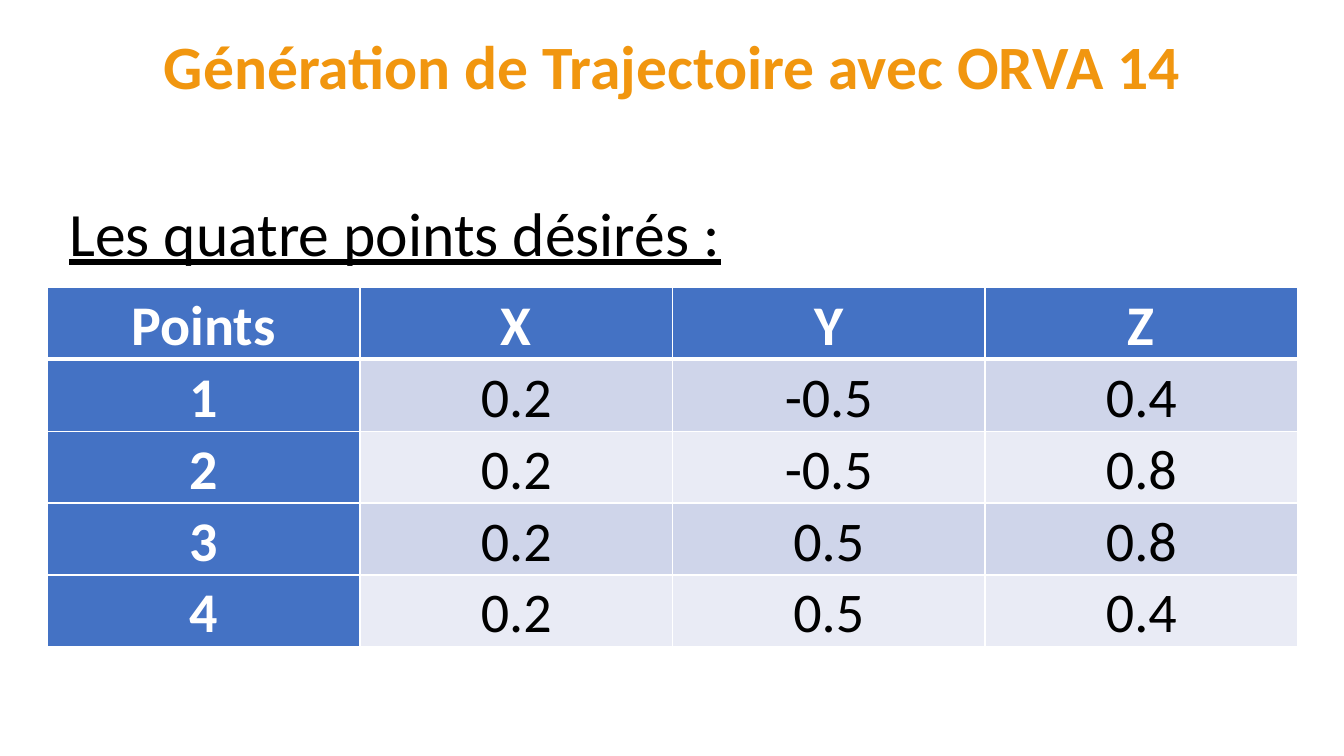
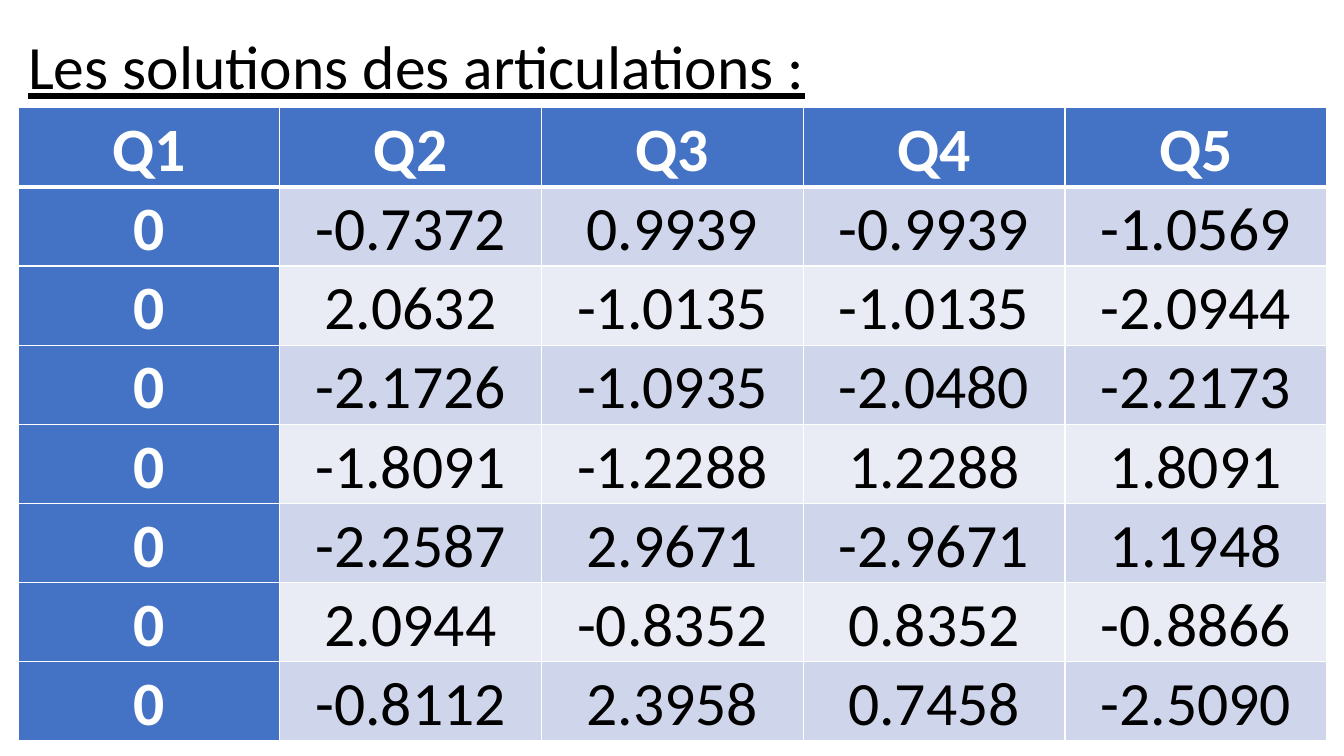
import pptx
import pptx.util
import pptx.dml.color
import pptx.enum.text
import pptx.oxml.ns
import lxml.etree

Inches = pptx.util.Inches
Pt = pptx.util.Pt
Align = pptx.enum.text.PP_ALIGN
qn = pptx.oxml.ns.qn


class Deck:
    """Shared style and the current slide."""

    hues = {
        "title": "F1960F",
        "text": "000000",
        "head": "4472C4",
        "odd": "CFD5EA",
        "even": "E9EBF5",
        "white": "FFFFFF",
    }
    font = "Calibri"
    large = 44
    left, top, width = 0.18, 0.23, 12.98

    def __init__(self):
        self.prs = pptx.Presentation()
        self.prs.slide_width = Inches(13.33)
        self.prs.slide_height = Inches(7.5)

    def color(self, name):
        return pptx.dml.color.RGBColor.from_string(self.hues[name])

    def page(self):
        self.slide = self.prs.slides.add_slide(self.prs.slide_layouts[6])

    def style(self, para, hue, size, bold=False, line=False):
        for run in para.runs:
            run.font.name = self.font
            run.font.size = Pt(size)
            run.font.bold = bold
            run.font.underline = line
            run.font.color.rgb = self.color(hue)

    def heading(self, label, height, title=None):
        """Underlined label, with an optional centred title above it."""
        box = self.slide.shapes.add_textbox(
            Inches(self.left), Inches(self.top), Inches(self.width), Inches(height))
        frame = box.text_frame
        frame.word_wrap = True
        frame.auto_size = pptx.enum.text.MSO_AUTO_SIZE.SHAPE_TO_FIT_TEXT
        para = frame.paragraphs[0]
        if title:
            para.text = title
            para.alignment = Align.CENTER
            self.style(para, "title", self.large, bold=True)
            para = frame.add_paragraph()
            para.space_before = Pt(66)
            props = para._p.get_or_add_pPr()
            props.set("marL", str(Inches(0.41)))
            props.set("indent", "0")
        para.text = label
        self.style(para, "text", self.large, line=True)

    def edge(self, cell, side, width):
        props = cell._tc.get_or_add_tcPr()
        line = lxml.etree.SubElement(props, qn("a:ln" + side), w=str(Pt(width)))
        fill = lxml.etree.SubElement(line, qn("a:solidFill"))
        lxml.etree.SubElement(fill, qn("a:srgbClr"), val=self.hues["white"])

    def cell(self, cell, text, row, col, size):
        cell.margin_left = cell.margin_right = Inches(0.07)
        cell.margin_top = cell.margin_bottom = 0
        # Thick rule between the header and the body
        widths = {"L": 1, "R": 1, "T": 3 if row == 1 else 1, "B": 3 if row == 0 else 1}
        for side, width in widths.items():
            self.edge(cell, side, width)
        head = row == 0 or col == 0
        band = "head" if head else "odd" if row % 2 else "even"
        cell.fill.solid()
        cell.fill.fore_color.rgb = self.color(band)
        para = cell.text_frame.paragraphs[0]
        para.text = text
        para.alignment = Align.CENTER
        para.line_spacing = 1.07
        para.space_after = Pt(8)
        self.style(para, "white" if head else "text", size, bold=head)

    def table(self, rows, left, top, width, height, size):
        count = len(rows[0])
        grid = self.slide.shapes.add_table(
            len(rows), count, Inches(left), Inches(top),
            Inches(width), Inches(height * len(rows))).table
        for col in grid.columns:
            col.width = Inches(width / count)
        for r, row in enumerate(rows):
            grid.rows[r].height = Inches(height)
            for c, text in enumerate(row):
                self.cell(grid.cell(r, c), text, r, c, size)


POINTS = [
    ["Points", "X", "Y", "Z"],
    ["1", "0.2", "-0.5", "0.4"],
    ["2", "0.2", "-0.5", "0.8"],
    ["3", "0.2", "0.5", "0.8"],
    ["4", "0.2", "0.5", "0.4"],
]
JOINTS = [
    ["Q1", "Q2", "Q3", "Q4", "Q5"],
    ["0", "-0.7372", "0.9939", "-0.9939", "-1.0569"],
    ["0", "2.0632", "-1.0135", "-1.0135", "-2.0944"],
    ["0", "-2.1726", "-1.0935", "-2.0480", "-2.2173"],
    ["0", "-1.8091", "-1.2288", "1.2288", "1.8091"],
    ["0", "-2.2587", "2.9671", "-2.9671", "1.1948"],
    ["0", "2.0944", "-0.8352", "0.8352", "-0.8866"],
    ["0", "-0.8112", "2.3958", "0.7458", "-2.5090"],
]


def main():
    deck = Deck()

    # Target points
    deck.page()
    deck.heading("Les quatre points désirés :", 2.49,
                 title="Génération de Trajectoire avec ORVA 14")
    deck.table(POINTS, 0.47, 2.85, 12.4, 0.69, size=40)

    # Joint solutions
    deck.page()
    deck.heading("Les solutions des articulations :", 0.84)
    deck.table(JOINTS, deck.left, 1.07, deck.width, 0.77, size=deck.large)

    deck.prs.save("out.pptx")


if __name__ == "__main__":
    main()
